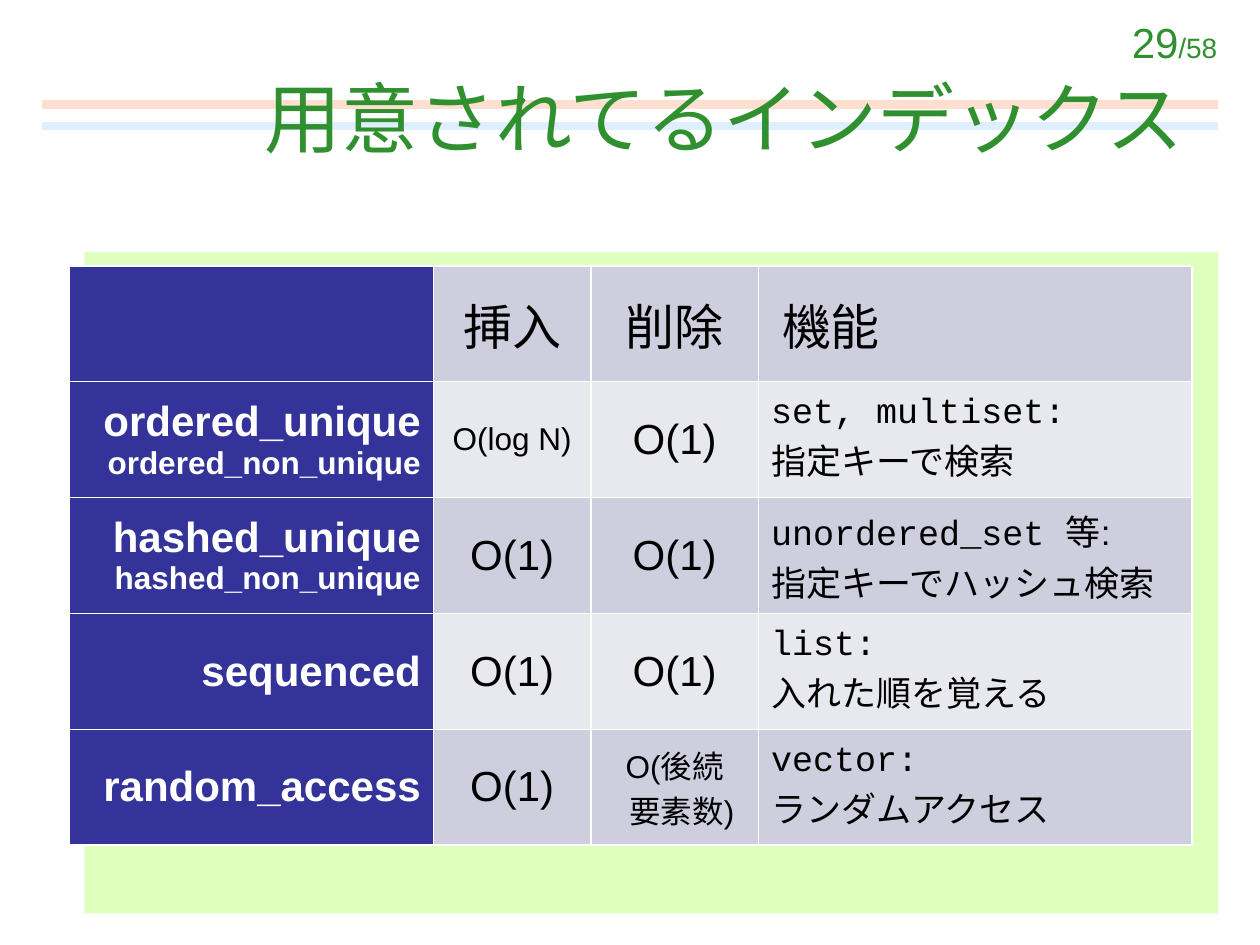
from lxml.etree import SubElement
from pptx import Presentation
from pptx.dml.color import RGBColor
from pptx.enum.shapes import MSO_CONNECTOR as Connector, MSO_SHAPE as Shape
from pptx.enum.text import MSO_ANCHOR as Anchor, PP_ALIGN as Align
from pptx.oxml.ns import qn
from pptx.util import Inches, Pt

COLORS = {"panel": "DFFFBF", "blue": "DFEFFF", "peach": "FFDFCF",
          "green": "309030", "navy": "333399", "odd": "CECEDE",
          "even": "E8E8EF", "white": "FFFFFF", "black": "000000"}
JAPANESE = "Noto Sans CJK JP"
TITLE = "用意されてるインデックス"
PAGE = [[("29", {"size": 24}), ("/58", {"size": 16})]]
STRIPES = [("blue", 1), ("peach", 0.83)]

# A cell is a list of lines, a line is a list of (text, format) runs.
HEAD, BIG, SMALL, NOTE = ({"size": size} for size in (28, 24, 18, 20))
CODE = {"size": 20, "name": "Courier New"}
CONSTANT = [[("O(1)", BIG)]]
ROWS = [
    [[], [[("挿入", HEAD)]], [[("削除", HEAD)]], [[(" 機能", HEAD)]]],
    [[[("ordered_unique", BIG)], [("ordered_non_unique", SMALL)]],
     [[("O(log N)", SMALL)]], CONSTANT,
     [[("set, multiset:", CODE)], [("指定キーで検索", NOTE)]]],
    [[[("hashed_unique", BIG)], [("hashed_non_unique", SMALL)]],
     CONSTANT, CONSTANT,
     [[("unordered_set ", CODE), ("等:", NOTE)],
      [("指定キーでハッシュ検索", NOTE)]]],
    [[[("sequenced", BIG)]], CONSTANT, CONSTANT,
     [[("list:", CODE)], [("入れた順を覚える", NOTE)]]],
    [[[("random_access", BIG)]], CONSTANT,
     [[("O(後続", SMALL)], [("  要素数)", SMALL)]],
     [[("vector:", CODE)], [("ランダムアクセス", NOTE)]]],
]
COLUMN_WIDTHS = [2.89, 1.25, 1.33, 3.44]
COLUMN_ALIGNS = [Align.RIGHT, Align.CENTER, Align.CENTER, Align.LEFT]
ROW_HEIGHT = 0.92


def rgb(name):
    """Return the named colour."""
    return RGBColor.from_string(COLORS[name])


def add_run(paragraph, text, color, **formats):
    """Add one run with its font values."""
    run = paragraph.add_run()
    run.text = text
    for key, value in {"name": "Arial", **formats}.items():
        setattr(run.font, key, Pt(value) if key == "size" else value)
    run.font.color.rgb = rgb(color)
    SubElement(run.font._element, qn("a:ea"), typeface=JAPANESE)


def write_lines(frame, lines, align, color, bold=False):
    """Write lines of runs into the first paragraph of a text frame."""
    paragraph = frame.paragraphs[0]
    paragraph.alignment = align
    for index, line in enumerate(lines):
        if index:
            paragraph.add_line_break()
        for text, formats in line:
            add_run(paragraph, text, color, bold=bold, **formats)


def add_background(slide):
    """Draw the panel, the two stripes and the page number."""
    panel = slide.shapes.add_shape(
        Shape.RECTANGLE, Inches(0.67), Inches(2), Inches(9), Inches(5.25))
    panel.shadow.inherit = False
    panel.fill.solid()
    panel.fill.fore_color.rgb = rgb("panel")
    panel.line.fill.background()
    for color, top in STRIPES:
        stripe = slide.shapes.add_connector(
            Connector.STRAIGHT, Inches(0.33), Inches(top), Inches(9.67), Inches(top))
        stripe.line.color.rgb = rgb(color)
        stripe.line.width = Pt(5)
        SubElement(stripe._element.spPr, qn("a:effectLst"))
    page = slide.shapes.add_textbox(
        Inches(7.73), Inches(0.08), Inches(2.03), Inches(0.5))
    page.text_frame.word_wrap = True
    write_lines(page.text_frame, PAGE, Align.RIGHT, "green")


def add_title(slide):
    """Place the title in front of the stripes."""
    title = slide.shapes.title
    title.left, title.top = Inches(0.5), Inches(0.3)
    title.width, title.height = Inches(9), Inches(1.25)
    title.text_frame.vertical_anchor = Anchor.MIDDLE
    write_lines(title.text_frame, [[(TITLE, {"size": 44, "name": JAPANESE})]],
                Align.RIGHT, "green")
    slide.shapes._spTree.append(title._element)


def style_cell(cell, color):
    """Give a cell white borders, a fill and middle anchoring."""
    cell.vertical_anchor = Anchor.MIDDLE
    properties = cell._tc.get_or_add_tcPr()
    for side in "LRTB":
        border = SubElement(properties, qn(f"a:ln{side}"), w=str(Pt(1)))
        fill = SubElement(border, qn("a:solidFill"))
        SubElement(fill, qn("a:srgbClr"), val=COLORS["white"])
    cell.fill.solid()
    cell.fill.fore_color.rgb = rgb(color)


def add_index_table(slide):
    """Build the table that compares the indexes."""
    table = slide.shapes.add_table(
        len(ROWS), len(COLUMN_WIDTHS), Inches(0.55), Inches(2.11),
        Inches(sum(COLUMN_WIDTHS)), Inches(ROW_HEIGHT * len(ROWS))).table
    for column, width in zip(table.columns, COLUMN_WIDTHS):
        column.width = Inches(width)
    for row_index, row in enumerate(ROWS):
        table.rows[row_index].height = Inches(ROW_HEIGHT)
        for column_index, lines in enumerate(row):
            cell = table.cell(row_index, column_index)
            is_name = column_index == 0
            band = "even" if row_index % 2 else "odd"
            style_cell(cell, "navy" if is_name else band)
            write_lines(cell.text_frame, lines, COLUMN_ALIGNS[column_index],
                        "white" if is_name else "black", is_name)


presentation = Presentation()
presentation.slide_width, presentation.slide_height = Inches(10), Inches(7.5)
slide = presentation.slides.add_slide(presentation.slide_layouts[5])
add_background(slide)
add_title(slide)
add_index_table(slide)
presentation.save("out.pptx")
